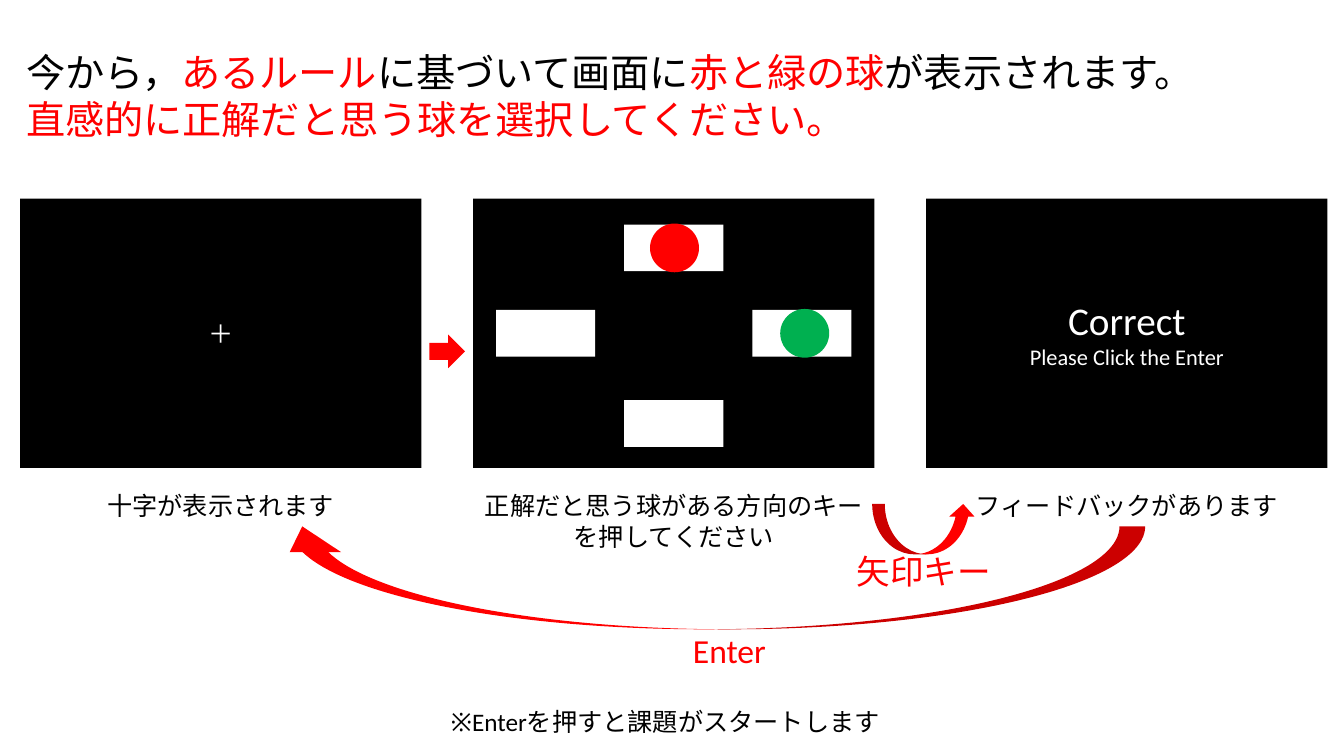
from pptx import Presentation
from pptx.dml.color import RGBColor
from pptx.enum import shapes, text
from pptx.util import Pt

COLORS = {"black": "000000", "white": "FFFFFF", "red": "FF0000", "green": "00B050"}
FONT = "Calibri"
KINDS = shapes.MSO_SHAPE


def rgb(name):
    return RGBColor.from_string(COLORS[name])


def write(p, content, size=18, color="black", align=text.PP_ALIGN.CENTER):
    """Append a formatted run to a paragraph."""
    p.alignment = align
    r = p.add_run()
    r.text = content
    r.font.size = Pt(size)
    r.font.name = FONT
    r.font.color.rgb = rgb(color)


class Board:
    """Holds the current slide and draws each kind of element in points."""

    def __init__(self, slide):
        self.slide = slide

    def textbox(self, x, y, w, h, *lines, **style):
        """Each line is a list of (text, color) runs."""
        sp = self.slide.shapes.add_textbox(Pt(x), Pt(y), Pt(w), Pt(h))
        tf = sp.text_frame
        tf.word_wrap = True
        for i, line in enumerate(lines):
            p = tf.add_paragraph() if i else tf.paragraphs[0]
            for content, color in line:
                write(p, content, color=color, **style)

    def shape(self, kind, x, y, w, h, color, rotation=0):
        sp = self.slide.shapes.add_shape(kind, Pt(x), Pt(y), Pt(w), Pt(h))
        sp.shadow.inherit = False
        sp.fill.solid()
        sp.fill.fore_color.rgb = rgb(color)
        sp.line.fill.background()
        sp.rotation = rotation
        return sp

    def centered(self, kind, cx, cy, w, h, color):
        return self.shape(kind, cx - w / 2, cy - h / 2, w, h, color)

    def screen(self, x, y, w, h, lines):
        """A black task screen with (text, size) lines in its middle."""
        tf = self.shape(KINDS.RECTANGLE, x, y, w, h, "black").text_frame
        tf.vertical_anchor = text.MSO_ANCHOR.MIDDLE
        for i, (content, size) in enumerate(lines):
            p = tf.add_paragraph() if i else tf.paragraphs[0]
            write(p, content, size=size, color="white")


def main():
    prs = Presentation()
    prs.slide_width, prs.slide_height = Pt(960), Pt(540)
    board = Board(prs.slides.add_slide(prs.slide_layouts[6]))

    # Instruction
    board.textbox(
        11.5, 31, 940, 75,
        [("今から，", "black"), ("あるルール", "red"), ("に基づいて画面に", "black"),
         ("赤と緑の球", "red"), ("が表示されます。", "black")],
        [("直感的に正解だと思う球を選択してください。", "red")],
        size=28, align=text.PP_ALIGN.LEFT)

    # Three screens with captions
    left, top, width, height, step = 14.4, 142, 286.6, 192.2, 323.6
    steps = [
        ([("＋", 18)], "十字が表示されます"),
        ([], "正解だと思う球がある方向のキーを押してください"),
        ([("Correct", 28), ("Please Click the Enter", 16)], "フィードバックがあります"),
    ]
    for i, (lines, caption) in enumerate(steps):
        x = left + i * step
        board.screen(x, top, width, height, lines)
        board.textbox(x, 347, width, 29, [(caption, "black")])

    # Four answer slots and the two balls on the middle screen
    cx, cy = left + step + width / 2, top + height / 2
    for dx, dy in [(0, -61), (-91.5, 0), (91.5, 0), (0, 64.5)]:
        board.centered(KINDS.RECTANGLE, cx + dx, cy + dy, 70.8, 33.4, "white")
    for dx, dy, color in [(0.5, -61, "red"), (93.5, 0, "green")]:
        board.centered(KINDS.OVAL, cx + dx, cy + dy, 35, 34.8, color)

    # Key labels
    board.textbox(430, 446.5, 182, 36, [("Enter", "red")], size=24)
    board.textbox(569, 390, 182, 36, [("矢印キー", "red")], size=24)

    # Flow arrows
    board.shape(KINDS.RIGHT_ARROW, 306.7, 239, 25.5, 24, "red")
    board.shape(KINDS.CURVED_UP_ARROW, 623, 360, 74, 36, "red")
    board.shape(KINDS.CURVED_DOWN_ARROW, 197.5, 376, 620.5, 73.5, "red", rotation=180)

    # Start note
    board.textbox(11.5, 501, 927.5, 29, [("※Enterを押すと課題がスタートします", "black")])

    prs.save("out.pptx")


if __name__ == "__main__":
    main()
